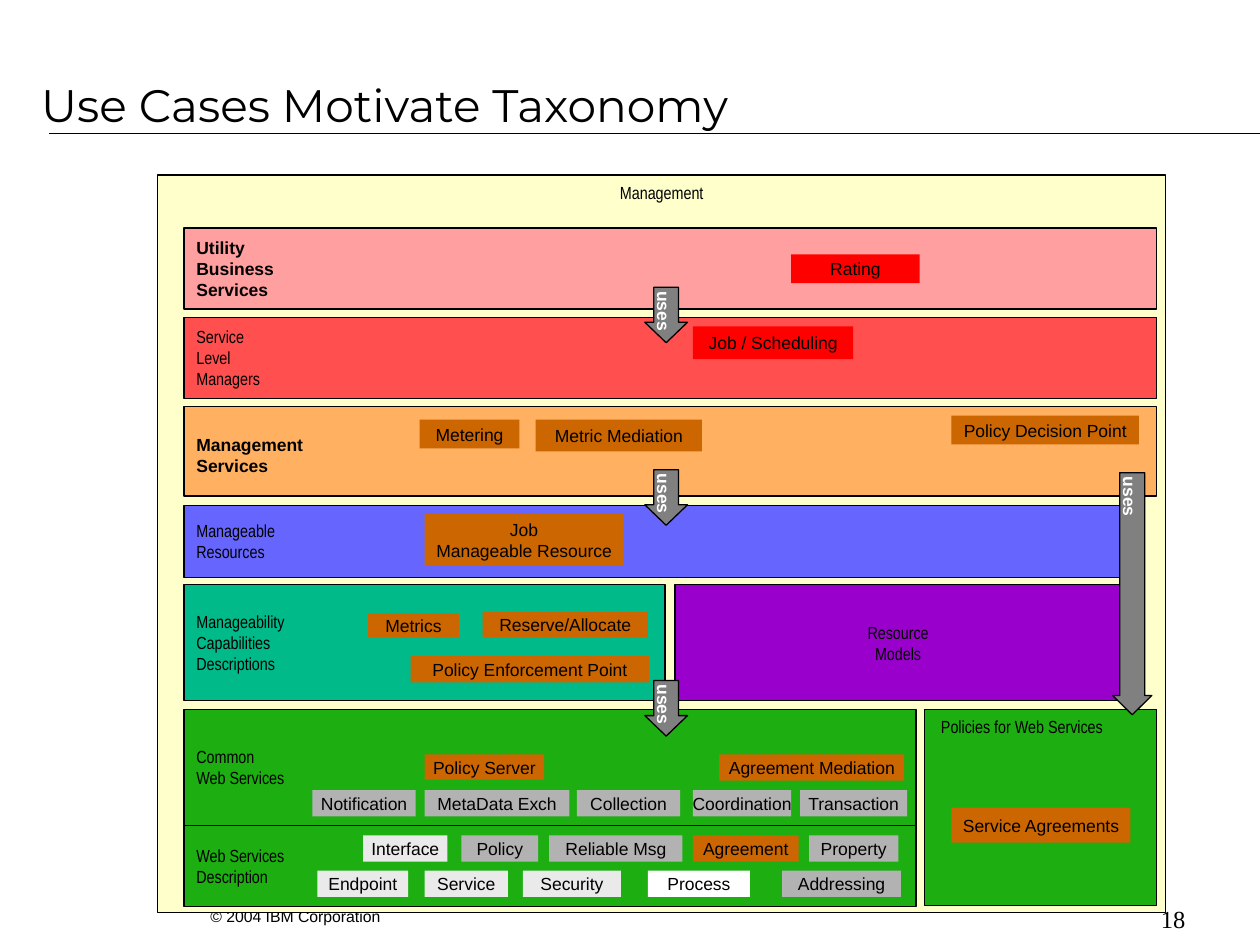
from dataclasses import dataclass

from lxml.etree import SubElement
from pptx import Presentation
from pptx.dml.color import RGBColor
from pptx.enum.shapes import MSO_CONNECTOR, MSO_SHAPE
from pptx.enum.text import MSO_ANCHOR as Anchor, MSO_AUTO_SIZE as AutoSize, PP_ALIGN as Align
from pptx.oxml.ns import qn
from pptx.util import Cm, Pt

BLACK = RGBColor(0x00, 0x00, 0x00)
WHITE = RGBColor(0xFF, 0xFF, 0xFF)
CREAM = RGBColor(0xFF, 0xFF, 0xCC)
PINK = RGBColor(0xFF, 0x9F, 0x9F)
CORAL = RGBColor(0xFF, 0x4F, 0x4F)
RED = RGBColor(0xFF, 0x00, 0x00)
APRICOT = RGBColor(0xFF, 0xB0, 0x61)
ORANGE = RGBColor(0xCC, 0x66, 0x00)
BLUE = RGBColor(0x66, 0x66, 0xFF)
TEAL = RGBColor(0x00, 0xBA, 0x89)
PURPLE = RGBColor(0x99, 0x00, 0xCC)
GREEN = RGBColor(0x1D, 0xAE, 0x12)
DARK_GRAY = RGBColor(0x80, 0x80, 0x80)
GRAY = RGBColor(0xB2, 0xB2, 0xB2)
PALE = RGBColor(0xEA, 0xEA, 0xEA)

SANS, NARROW = "Arial", "Arial Narrow"
INSETS = (0.25, 0.13, 0.25, 0.13)  # left, top, right, bottom in cm
LEFT, FULL, PART = 3.71, 19.61, 14.76  # left edge and widths of the layers


@dataclass
class Layer:
    text: str
    left: float
    top: float
    width: float
    height: float
    fill: RGBColor
    font: str = NARROW
    align: Align = Align.LEFT
    anchor: Anchor = Anchor.MIDDLE
    insets: tuple = INSETS


@dataclass
class Chip:
    text: str
    left: float
    top: float
    width: float
    height: float = 0.53
    fill: RGBColor = ORANGE


@dataclass
class Arrow:
    left: float
    top: float
    width: float = 0.86
    height: float = 1.12
    shaft: float = 0.58
    head: float = 0.48
    align: Align = Align.RIGHT
    wrap: bool = False


LAYERS = [
    Layer("Management", 3.18, 3.53, 20.32, 14.86, CREAM, align=Align.CENTER, anchor=Anchor.TOP),
    Layer("Policies for Web Services", 18.64, 14.3, 4.67, 3.96, GREEN, anchor=Anchor.TOP,
          insets=(0.33, 0.13, 0.25, 0.13)),
    Layer("Web Services\nDescription", LEFT, 16.64, PART, 1.63, GREEN),
    Layer("Common\nWeb Services", LEFT, 14.3, PART, 2.34, GREEN),
    Layer("Resource\nModels", 13.61, 11.79, 8.99, 2.34, PURPLE, align=Align.CENTER),
    Layer("Manageability\nCapabilities\nDescriptions", LEFT, 11.79, 9.7, 2.34, TEAL),
    Layer("Manageable\nResources", LEFT, 10.19, 18.87, 1.45, BLUE),
    Layer("Management\nServices", LEFT, 8.2, FULL, 1.8, APRICOT, SANS, anchor=Anchor.TOP,
          insets=(0.25, 0.55, 0.25, 0.13)),
    Layer("Service\nLevel\nManagers", LEFT, 6.4, FULL, 1.63, CORAL),
    Layer("Utility\nBusiness\nServices", LEFT, 4.6, FULL, 1.63, PINK, SANS),
]

# Rows of web service chips: top, then text, left, width, fill
CHIP_ROWS = [
    (15.93, [("Notification", 6.3, 2.08, GRAY), ("MetaData Exch", 8.56, 2.92, GRAY),
             ("Collection", 11.63, 2.08, GRAY), ("Coordination", 13.97, 1.98, GRAY),
             ("Transaction", 16.13, 2.16, GRAY)]),
    (16.84, [("Interface", 7.32, 1.7, PALE), ("Policy", 9.3, 1.55, GRAY),
             ("Reliable Msg", 11.07, 2.69, GRAY), ("Agreement", 13.97, 2.13, ORANGE),
             ("Property", 16.31, 1.8, GRAY)]),
    (17.55, [("Endpoint", 6.4, 1.83, PALE), ("Service", 8.56, 1.68, PALE),
             ("Security", 10.54, 1.98, PALE), ("Process", 13.06, 2.06, WHITE),
             ("Addressing", 15.77, 2.39, GRAY)]),
]

CHIPS = [
    Chip("Rating", 15.95, 5.13, 2.59, 0.58, RED),
    Chip("Job / Scheduling", 13.97, 6.58, 3.23, 0.66, RED),
    Chip("Metering", 8.46, 8.46, 2.01, 0.58),
    Chip("Metric Mediation", 10.8, 8.46, 3.35, 0.64),
    Chip("Policy Decision Point", 19.18, 8.38, 3.78, 0.58),
    Chip("Job\nManageable Resource", 8.56, 10.36, 4.01, 1.04),
    Chip("Metrics", 7.42, 12.37, 1.83, 0.48),
    Chip("Reserve/Allocate", 9.73, 12.34, 3.33, 0.51),
    Chip("Policy Enforcement Point", 8.28, 13.23, 4.8),
    Chip("Policy Server", 8.56, 15.21, 2.41, 0.51),
    Chip("Agreement Mediation", 14.5, 15.21, 3.73),
    Chip("Service Agreements", 19.18, 16.28, 3.61, 0.71),
] + [Chip(text, left, top, width, fill=fill)
     for top, row in CHIP_ROWS for text, left, width, fill in row]

ARROWS = [Arrow(13, top) for top in (5.79, 9.47, 13.72)]
ARROWS.append(Arrow(22.43, 9.53, 0.79, 4.88, 0.64, 0.49, Align.CENTER, True))


def write(box, text: str, size: float, font: str = SANS, color: RGBColor = BLACK,
          bold: bool = False, align: Align = Align.LEFT, anchor: Anchor = Anchor.MIDDLE,
          insets: tuple = INSETS, wrap: bool = False) -> None:
    frame = box.text_frame
    frame.text = text
    frame.auto_size = AutoSize.NONE
    frame.word_wrap = wrap
    frame.vertical_anchor = anchor
    (frame.margin_left, frame.margin_top,
     frame.margin_right, frame.margin_bottom) = map(Cm, insets)
    for para in frame.paragraphs:
        para.alignment = align
        for span in para.runs:
            span.font.size = Pt(size)
            span.font.name = font
            span.font.bold = bold
            span.font.color.rgb = color


def add_block(page, kind: MSO_SHAPE, item, fill: RGBColor, outlined: bool):
    box = page.shapes.add_shape(kind, Cm(item.left), Cm(item.top), Cm(item.width), Cm(item.height))
    box.shadow.inherit = False
    box.fill.solid()
    box.fill.fore_color.rgb = fill
    if outlined:
        box.line.color.rgb = BLACK
        box.line.width = Pt(0.75)
    else:
        box.line.fill.background()
    return box


def add_rule(page, left: float, right: float, top: float) -> None:
    rule = page.shapes.add_connector(MSO_CONNECTOR.STRAIGHT, Cm(left), Cm(top), Cm(right), Cm(top))
    rule.line.color.rgb = BLACK
    rule.line.width = Pt(0.75)
    SubElement(rule._element.spPr, qn("a:effectLst"))


def add_layer(page, layer: Layer) -> None:
    box = add_block(page, MSO_SHAPE.RECTANGLE, layer, layer.fill, True)
    write(box, layer.text, 10, layer.font, bold=layer.font == SANS, align=layer.align,
          anchor=layer.anchor, insets=layer.insets)


def add_chip(page, chip: Chip) -> None:
    box = add_block(page, MSO_SHAPE.RECTANGLE, chip, chip.fill, False)
    write(box, chip.text, 10, align=Align.CENTER)


def add_arrow(page, arrow: Arrow) -> None:
    box = add_block(page, MSO_SHAPE.DOWN_ARROW, arrow, DARK_GRAY, True)
    box.adjustments[0], box.adjustments[1] = arrow.shaft, arrow.head
    write(box, "uses", 10, color=WHITE, bold=True, align=arrow.align,
          insets=(0, 0.08, 0.08, 0), wrap=arrow.wrap)
    box.text_frame._txBody.bodyPr.set("vert", "eaVert")


def main() -> None:
    deck = Presentation()
    deck.slide_width, deck.slide_height = Cm(25.4), Cm(19.05)
    page = deck.slides.add_slide(deck.slide_layouts[5])

    # Title and the rule below it
    title = page.shapes.title
    title.left, title.top, title.width, title.height = Cm(0.58), Cm(1.37), Cm(24.31), Cm(1.47)
    write(title, "Use Cases Motivate Taxonomy", 26, "Montserrat", wrap=True)
    add_rule(page, 0.99, 25.4, 2.69)

    # Footer
    footer = page.shapes.add_textbox(Cm(3.99), Cm(18.16), Cm(4.29), Cm(0.64))
    write(footer, "© 2004 IBM Corporation", 9, wrap=True)

    # Stack of layers, components and dependencies
    for layer in LAYERS:
        add_layer(page, layer)
    add_rule(page, LEFT, LEFT + PART, 16.64)
    for chip in CHIPS:
        add_chip(page, chip)
    for arrow in ARROWS:
        add_arrow(page, arrow)

    # Page number
    number = page.shapes.add_textbox(Cm(21.74), Cm(18.21), Cm(2.41), Cm(0.61))
    write(number, "18", 14, "Times New Roman", align=Align.RIGHT, wrap=True)

    deck.save("out.pptx")


if __name__ == "__main__":
    main()
